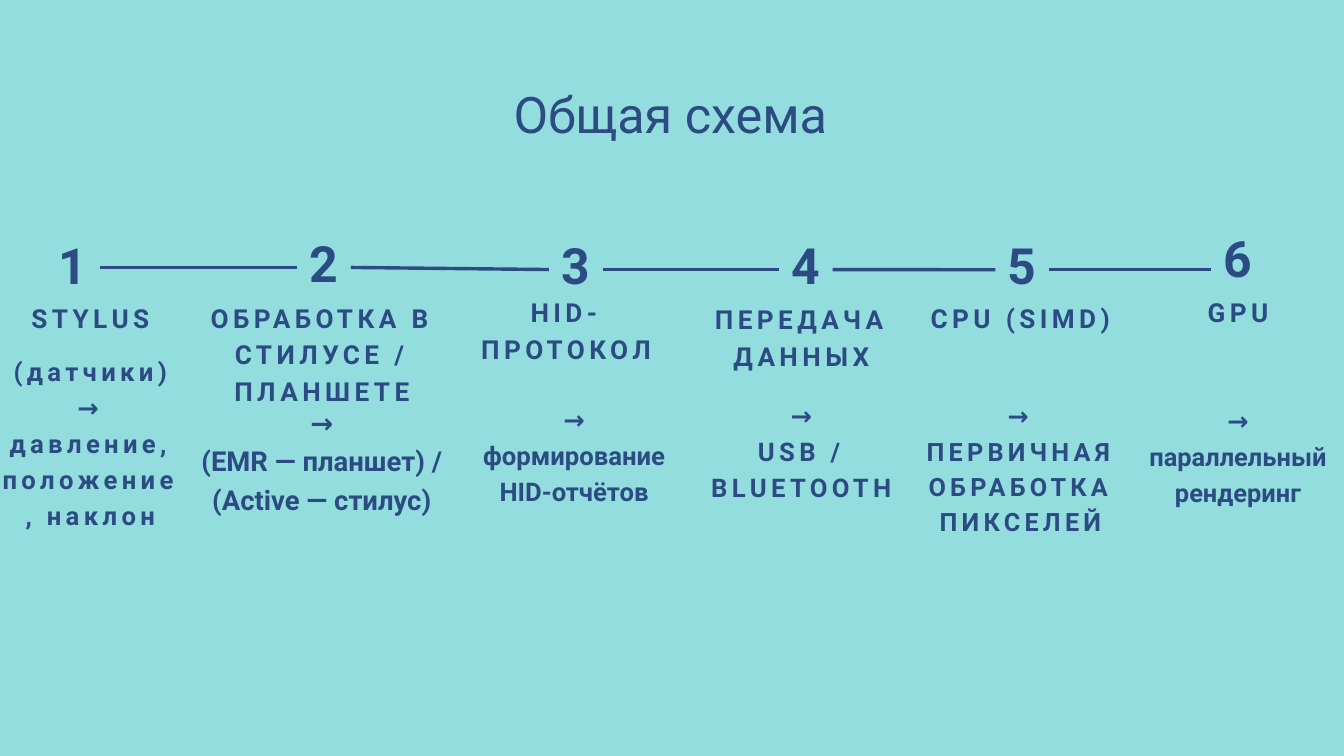
from itertools import pairwise

from lxml import etree
from pptx import Presentation
from pptx.dml.color import RGBColor
from pptx.enum.shapes import MSO_CONNECTOR
from pptx.enum.text import MSO_ANCHOR, MSO_AUTO_SIZE, PP_ALIGN
from pptx.oxml.ns import qn
from pptx.util import Cm, Pt

STRAIGHT = MSO_CONNECTOR.STRAIGHT
TOP = MSO_ANCHOR.TOP
FIXED = MSO_AUTO_SIZE.NONE
LEFT, CENTER = PP_ALIGN.LEFT, PP_ALIGN.CENTER
NAVY = RGBColor(0x2B, 0x4B, 0x82)
AQUA = RGBColor(0x94, 0xDD, 0xDE)
FONT = "Roboto"
TRACK = 0.17
NUM_W, NUM_H = 2.03, 2.82

STEPS = [
    dict(num=(1.75, 8.51), knot=10.11,
         head="STYLUS", head_box=(0, 11.23, 6.83, 1.47),
         body=["(датчики)", "→ давление, положение, наклон"],
         body_box=(0, 13.26, 6.83, 8.2), size=27.5, track=TRACK),
    dict(num=(11.23, 8.41), knot=10.11,
         head="ОБРАБОТКА В СТИЛУСЕ / ПЛАНШЕТЕ", head_box=(7.72, 11.23, 8.89, 4.22),
         body=["→", "(EMR — планшет) / (Active — стилус)"],
         body_box=(6.83, 15.14, 10.67, 6.17), size=29.4, track=0),
    dict(num=(20.75, 8.51), knot=10.19,
         head="HID-ПРОТОКОЛ", head_box=(17.98, 11.02, 6.83, 2.84),
         body=["→ формирование HID-отчётов"],
         body_box=(17.98, 15.09, 7.44, 4.14), size=27.5, track=0),
    dict(num=(29.44, 8.51), knot=10.19,
         head="ПЕРЕДАЧА ДАННЫХ", head_box=(26.57, 11.28, 7.44, 2.82),
         body=["→", "USB / BLUETOOTH"],
         body_box=(26.57, 14.94, 7.44, 4.24), size=27.5, track=TRACK),
    dict(num=(37.62, 8.51), knot=10.2,
         head="CPU (SIMD)", head_box=(35.15, 11.23, 6.83, 2.82),
         body=["→ ПЕРВИЧНАЯ ОБРАБОТКА ПИКСЕЛЕЙ"],
         body_box=(34.67, 14.96, 7.8, 5.46), size=27, track=TRACK),
    dict(num=(45.77, 8.23), knot=10.2,
         head="GPU", head_box=(43.38, 11.02, 6.83, 1.47),
         body=["→ параллельный рендеринг"],
         body_box=(43.38, 15.14, 6.83, 4.06), size=27.2, track=0),
]


def write(frame, lines, size=28, bold=True, align=CENTER, track=TRACK, lead=1.4):
    frame.word_wrap = True
    frame.auto_size = FIXED
    frame.vertical_anchor = TOP
    frame.margin_left = frame.margin_right = 0
    frame.margin_top = frame.margin_bottom = 0
    for i, line in enumerate(lines):
        para = frame.add_paragraph() if i else frame.paragraphs[0]
        para.alignment = align
        para.line_spacing = Pt(round(size * lead, 1))
        run = para.add_run()
        run.text = line
        font = run.font
        font.name, font.size, font.bold = FONT, Pt(size), bold
        font.color.rgb = NAVY
        if track:
            run._r.get_or_add_rPr().set("spc", str(round(size * track * 100)))


class Deck:
    def __init__(self):
        self.prs = Presentation()
        self.prs.slide_width = Cm(50.8)
        self.prs.slide_height = Cm(28.58)
        self.slide = None

    def page(self):
        self.slide = self.prs.slides.add_slide(self.prs.slide_layouts[5])
        fill = self.slide.background.fill
        fill.solid()
        fill.fore_color.rgb = AQUA

    def title(self, text, x, y, w, h):
        shape = self.slide.shapes.title
        shape.left, shape.top = Cm(x), Cm(y)
        shape.width, shape.height = Cm(w), Cm(h)
        write(shape.text_frame, [text], size=54, bold=False, align=LEFT,
              track=0, lead=1.2)

    def text(self, lines, box, **style):
        shape = self.slide.shapes.add_textbox(*map(Cm, box))
        write(shape.text_frame, lines, **style)

    def line(self, x1, y1, x2, y2, width):
        link = self.slide.shapes.add_connector(
            STRAIGHT, Cm(x1), Cm(y1), Cm(x2), Cm(y2))
        link.line.color.rgb = NAVY
        link.line.width = Pt(width)
        etree.SubElement(link._element.spPr, qn("a:effectLst"))


def main():
    deck = Deck()
    deck.page()
    deck.title("Общая схема", 19.41, 3.15, 14.6, 2.74)
    for i, step in enumerate(STEPS, 1):
        deck.text([str(i)], (*step["num"], NUM_W, NUM_H), size=53.5)
        deck.text([step["head"]], step["head_box"])
        deck.text(step["body"], step["body_box"],
                  size=step["size"], track=step["track"])
    for a, b in pairwise(STEPS):
        width = 3 if b is STEPS[-1] else 3.65
        deck.line(a["num"][0] + NUM_W, a["knot"], b["num"][0], b["knot"], width)
    deck.prs.save("out.pptx")


if __name__ == "__main__":
    main()
